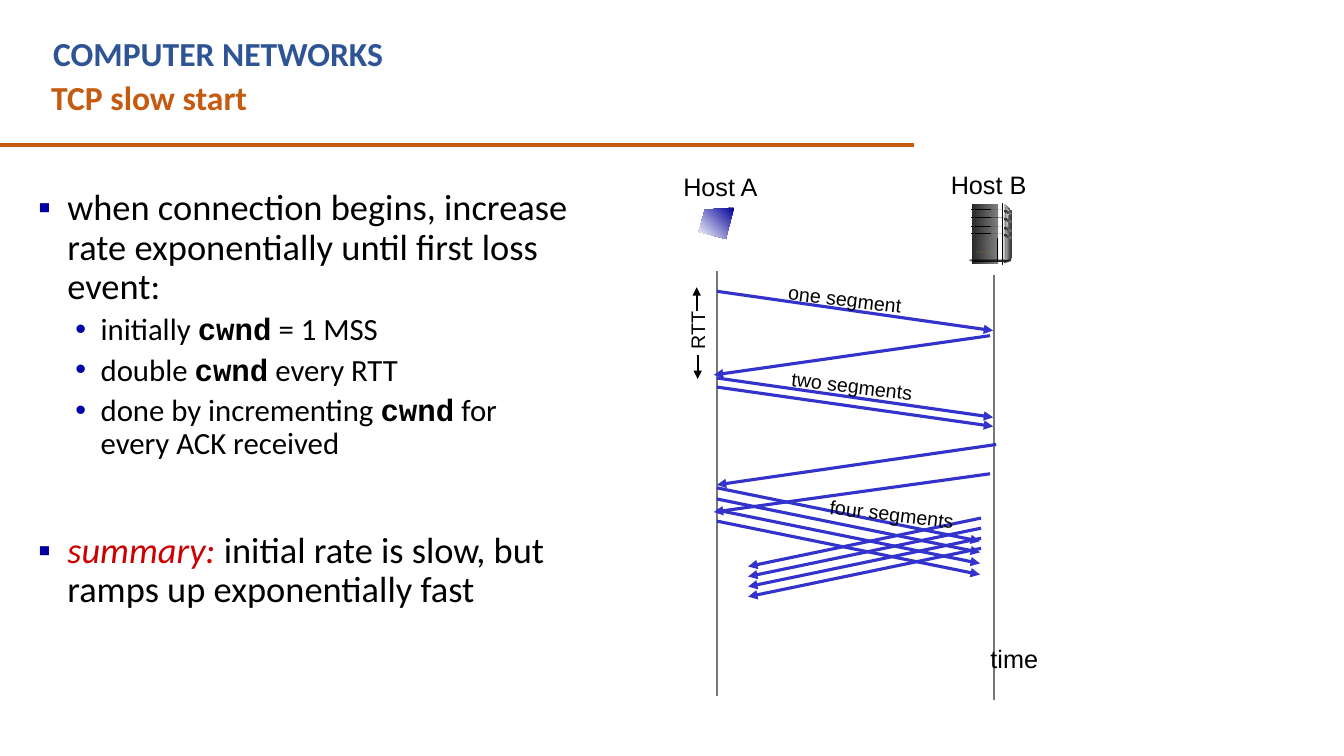
import copy
from dataclasses import dataclass
from typing import Optional

import lxml.etree
import pptx
import pptx.dml.color
import pptx.enum.shapes
import pptx.enum.text
import pptx.oxml.ns
import pptx.util

Inches = pptx.util.Inches
Pt = pptx.util.Pt
qn = pptx.oxml.ns.qn
MSO = pptx.enum.shapes.MSO_SHAPE
ALIGN = pptx.enum.text.PP_ALIGN

COLORS = {
    "blue": "2F5496", "orange": "C55A11", "black": "000000", "red": "CC0000",
    "bullet": "0000A3", "sub_bullet": "0000A8", "arrow": "3333CC",
    "axis": "777777", "navy": "000099", "white": "FFFFFF", "dark": "292929",
    "mid": "808080", "edge": "333333", "light": "DDDDDD", "pale": "F8F8F8",
    "green": "33CC33", "lamp_red": "FF0000", "led": "0000FF", "led_mid": "99CCFF",
}
BLUE_LED = ("led", "led_mid", "led")


@dataclass
class Run:
    text: str
    font: str = "Calibri"
    color: str = "black"
    bold: bool = False
    italic: bool = False


@dataclass
class Line:
    x1: float
    y1: float
    x2: float
    y2: float
    color: str = "arrow"
    width: float = 2.25
    arrow: bool = True


@dataclass
class Part:
    kind: int
    x: float
    y: float
    w: float
    h: float
    fill: tuple
    line: Optional[str] = None


@dataclass
class Bullet:
    char: str
    color: str
    left: float
    hang: float
    level: int = 0
    before: float = 0


MAIN = Bullet("▪", "bullet", 0.43, 0.29)
SUB = Bullet("•", "sub_bullet", 0.76, 0.25, level=1, before=5)

prs = pptx.Presentation()
prs.slide_width, prs.slide_height = Inches(13.33), Inches(7.5)
s = prs.slides.add_slide(prs.slide_layouts[6])


def rgb(name: str) -> pptx.dml.color.RGBColor:
    return pptx.dml.color.RGBColor.from_string(COLORS[name])


def add_bullet(p, bullet: Bullet) -> None:
    p.level = bullet.level
    ppr = p._p.get_or_add_pPr()
    ppr.set("marL", str(Inches(bullet.left)))
    ppr.set("indent", str(-Inches(bullet.hang)))
    clr = lxml.etree.SubElement(ppr, qn("a:buClr"))
    lxml.etree.SubElement(clr, qn("a:srgbClr"), val=COLORS[bullet.color])
    lxml.etree.SubElement(ppr, qn("a:buFont"), typeface="Arial")
    lxml.etree.SubElement(ppr, qn("a:buChar"), char=bullet.char)
    p.line_spacing = 0.9


def add_text(paragraphs: list, x: float, y: float, w: float, h: float, *,
             size: float, align=ALIGN.LEFT, wrap: bool = True, rotation: float = 0) -> None:
    """Each paragraph is a pair: its bullet (or None) and its runs."""
    sp = s.shapes.add_textbox(Inches(x), Inches(y), Inches(w), Inches(h))
    sp.rotation = rotation
    tf = sp.text_frame
    tf.word_wrap = wrap
    for i, (bullet, runs) in enumerate(paragraphs):
        p = tf.add_paragraph() if i else tf.paragraphs[0]
        p.alignment = align
        if bullet:
            add_bullet(p, bullet)
            if i:
                p.space_before = Pt(bullet.before)
        for run in runs:
            r = p.add_run()
            r.text = run.text
            r.font.name = run.font
            r.font.size = Pt(22 if bullet is SUB else size)
            r.font.bold, r.font.italic = run.bold, run.italic
            r.font.color.rgb = rgb(run.color)


def add_label(text: str, x: float, y: float, w: float, h: float,
              size: float = 18, rotation: float = 0) -> None:
    add_text([(None, [Run(text, "Arial")])], x, y, w, h, size=size,
             align=ALIGN.CENTER, wrap=False, rotation=rotation)


def add_line(line: Line) -> None:
    c = s.shapes.add_connector(pptx.enum.shapes.MSO_CONNECTOR.STRAIGHT,
                               Inches(line.x1), Inches(line.y1), Inches(line.x2), Inches(line.y2))
    c.line.color.rgb = rgb(line.color)
    c.line.width = Pt(line.width)
    if line.arrow:
        lxml.etree.SubElement(c.line._get_or_add_ln(), qn("a:tailEnd"), type="triangle")
    lxml.etree.SubElement(c._element.spPr, qn("a:effectLst"))


def paint(sp, fill: tuple, line: Optional[str] = None, angle: float = 0) -> None:
    """One colour gives a solid fill, several give an even gradient."""
    sp.shadow.inherit = False
    if len(fill) == 1:
        sp.fill.solid()
        sp.fill.fore_color.rgb = rgb(fill[0])
    else:
        sp.fill.gradient()
        sp.fill.gradient_angle = angle
        stops = sp._element.spPr.find(".//" + qn("a:gsLst"))
        while len(stops) < len(fill):
            stops.append(copy.deepcopy(stops[0]))
        for i, (stop, name) in enumerate(zip(sp.fill.gradient_stops, fill)):
            stop.color.rgb = rgb(name)
            stop.position = i / (len(fill) - 1)
    if line:
        sp.line.color.rgb = rgb(line)
        sp.line.width = Pt(0.75)
    else:
        sp.line.fill.background()


def add_part(part: Part) -> None:
    sp = s.shapes.add_shape(part.kind, Inches(part.x), Inches(part.y), Inches(part.w), Inches(part.h))
    if part.kind == MSO.ROUNDED_RECTANGLE:
        sp.adjustments[0] = 0.5
    paint(sp, part.fill, part.line)


def add_outline(points: list, fill: tuple, angle: float = 0) -> None:
    pts = [(Inches(x), Inches(y)) for x, y in points]
    fb = s.shapes.build_freeform(*pts[0])
    fb.add_line_segments(pts[1:], close=True)
    paint(fb.convert_to_shape(), fill, angle=angle)


def add_server() -> None:
    add_outline([(9.96, 2.02), (10.03, 2.09), (10.03, 2.56), (9.95, 2.59)], ("light", "edge"))
    add_part(Part(MSO.RECTANGLE, 9.64, 2.02, 0.26, 0.6, ("dark", "mid")))
    add_outline([(9.97, 2.05), (10.01, 2.1), (9.98, 2.3), (9.97, 2.58)], ("mid", "pale"))
    # Drive slots, with their lamps and side vents
    for y in (2.08, 2.16, 2.25, 2.32):
        add_part(Part(MSO.RECTANGLE, 9.64, y, 0.18, 0, ("black",), "black"))
        for fill in (("black",), BLUE_LED):
            add_part(Part(MSO.ROUNDED_RECTANGLE, 9.8, y, 0.14, 0, fill))
        add_outline([(9.96, y), (10.03, y + 0.03), (10.03, y + 0.05), (9.96, y + 0.02)],
                    ("dark", "mid"))
    # Frame and foot
    add_part(Part(MSO.RECTANGLE, 9.94, 2.02, 0, 0.6, ("edge", "light", "edge"), "black"))
    add_outline([(9.96, 2.59), (9.96, 2.61), (10.03, 2.59), (10.03, 2.56)], ("edge",))
    add_part(Part(MSO.ROUNDED_RECTANGLE, 9.62, 2.58, 0.35, 0, ("light",), "black"))
    add_part(Part(MSO.ROUNDED_RECTANGLE, 9.64, 2.59, 0.35, 0, ("black", "mid"), "black"))
    for i, color in enumerate(("green", "lamp_red", "green")):
        add_part(Part(MSO.OVAL, 9.67 + 0.05 * i, 2.5, 0.09, 0, (color,)))
    add_part(Part(MSO.RECTANGLE, 9.89, 2.37, 0, 0.22, ("dark",), "black"))


def main() -> None:
    # Heading
    add_line(Line(-0.01, 1.44, 9.07, 1.44, "orange", 3, False))
    add_text([(None, [Run("COMPUTER NETWORKS", color="blue", bold=True)])],
             0.43, 0.28, 8.2, 0.5, size=24)
    add_text([(None, [Run("TCP slow start", color="orange", bold=True)])],
             0.41, 0.71, 8.75, 0.5, size=24)

    # Bullets
    cwnd = Run("cwnd", "Courier New", bold=True)
    steps = [("initially ", " = 1 MSS"), ("double ", " every RTT"),
             ("done by incrementing ", " for every ACK received")]
    opening = "when connection begins, increase rate exponentially until first loss event:"
    add_text([(MAIN, [Run(opening)])] + [(SUB, [Run(a), cwnd, Run(b)]) for a, b in steps],
             0.14, 1.83, 5.6, 5.7, size=26)
    add_text([(MAIN, [Run("summary: ", color="red", italic=True),
                      Run("initial rate is slow, but ramps up exponentially fast")])],
             0.14, 5.23, 5.6, 2.08, size=26)

    # Time axes and round trip
    add_line(Line(7.11, 2.69, 7.11, 6.9, "axis", 1.5, False))
    add_line(Line(9.86, 2.73, 9.86, 6.94, "axis", 1.5, False))
    add_line(Line(6.91, 3.09, 6.91, 2.85, "black", 1.5))
    add_line(Line(6.92, 3.52, 6.92, 3.76, "black", 1.5))

    # Segments and acknowledgements
    rounds = [Line(7.11, y, 9.85, y + 0.39) for y in (2.89, 3.75, 3.84)]
    rounds += [Line(9.82, 3.33, 7.08, 3.72), Line(9.88, 4.41, 7.11, 4.81),
               Line(9.82, 4.7, 7.08, 5.08)]
    for i in range(4):
        rounds += [Line(7.11, 4.84 + 0.11 * i, 9.72, 5.37 + 0.11 * i),
                   Line(9.73, 5.14 + 0.1 * i, 7.42, 5.62 + 0.1 * i)]
    for line in rounds:
        add_line(line)

    # Labels
    add_label("Host A", 6.67, 1.65, 0.95, 0.4)
    add_label("Host B", 9.33, 1.63, 0.95, 0.4)
    add_label("time", 9.54, 6.33, 1.04, 0.52)
    add_label("RTT", 6.63, 3.11, 0.58, 0.34, 14, 270)
    add_label("one segment", 7.23, 2.8, 2.3, 0.34, 14, 6.8)
    add_label("two segments", 7.29, 3.66, 2.32, 0.34, 14, 6.8)
    add_label("four segments", 7.61, 4.93, 2.47, 0.34, 14, 6.8)

    # Hosts
    add_outline([(7.28, 2.06), (6.99, 2.08), (6.93, 2.3), (7.2, 2.37)], ("navy", "white"), 225)
    add_server()
    prs.save("out.pptx")


if __name__ == "__main__":
    main()
